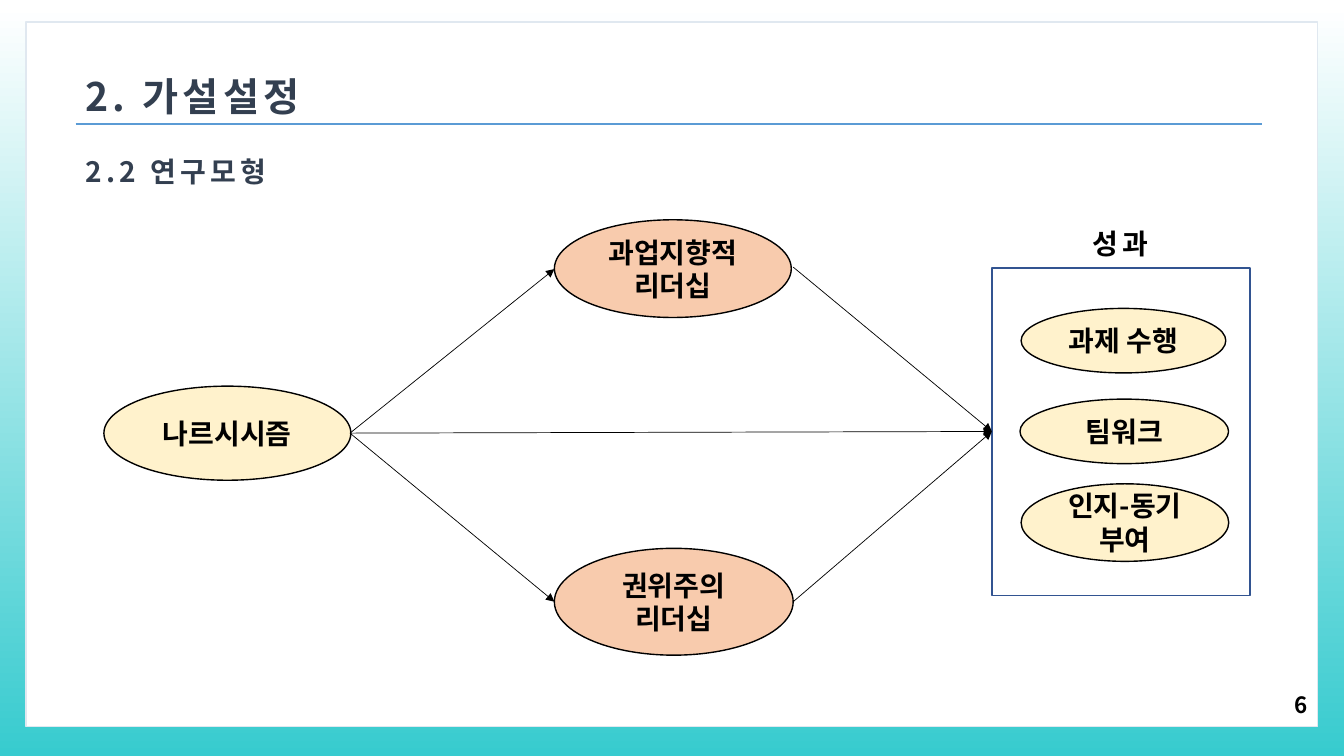
"""Build the research model slide: narcissism, two leadership styles and performance."""
from lxml import etree
from pptx import Presentation
from pptx.dml.color import RGBColor
from pptx.enum import shapes, text
from pptx.oxml import ns
from pptx.util import Pt

BLACK = RGBColor(0x00, 0x00, 0x00)
WHITE = RGBColor(0xFF, 0xFF, 0xFF)
TEAL = RGBColor(0x37, 0xCB, 0xCF)
MIST = RGBColor(0xE0, 0xE8, 0xF0)
CREAM = RGBColor(0xFF, 0xF2, 0xCC)
PEACH = RGBColor(0xF8, 0xCB, 0xAD)
NAVY = RGBColor(0x32, 0x54, 0x91)
BLUE = RGBColor(0x5B, 0x9B, 0xD5)
SLATE = RGBColor(0x33, 0x3F, 0x50)
SHAPE = shapes.MSO_SHAPE
ALIGN = text.PP_ALIGN
ANCHOR = text.MSO_ANCHOR


class Deck:
    """Hold the font and the current slide, and draw its elements."""

    font = "Noto Sans CJK KR"

    def __init__(self, prs):
        """Add a blank slide."""
        self.s = prs.slides.add_slide(prs.slide_layouts[6])

    def set_text(self, tf, lines, size=20, color=BLACK, align=ALIGN.CENTER,
                 anchor=ANCHOR.MIDDLE, spacing=None, spc=None):
        """Fill a text frame with one paragraph per line."""
        tf.word_wrap = True
        tf.vertical_anchor = anchor
        for i, line in enumerate(lines):
            p = tf.add_paragraph() if i else tf.paragraphs[0]
            for name, value in {"alignment": align, "line_spacing": spacing}.items():
                setattr(p, name, value)
            r = p.add_run()
            r.text = line
            style = {"size": Pt(size), "bold": True, "name": self.font}
            for name, value in style.items():
                setattr(r.font, name, value)
            r.font.color.rgb = color
            rPr = r._r.get_or_add_rPr()
            etree.SubElement(rPr, ns.qn("a:ea"), typeface=self.font)
            if spc:
                rPr.set("spc", str(spc * 100))

    def shape(self, kind, box, fill=None, line=None):
        """Add a preset shape with an optional fill and outline."""
        sp = self.s.shapes.add_shape(kind, *map(Pt, box))
        sp.shadow.inherit = False
        if fill is None:
            sp.fill.background()
        else:
            sp.fill.solid()
            sp.fill.fore_color.rgb = fill
        if line is None:
            sp.line.fill.background()
        else:
            sp.line.color.rgb = line
            sp.line.width = Pt(1)
        return sp

    def backdrop(self, box, top, bottom):
        """Add a rectangle with a vertical gradient."""
        fill = self.shape(SHAPE.RECTANGLE, box).fill
        fill.gradient()
        fill.gradient_angle = 270
        for stop, color in zip(fill.gradient_stops, (top, bottom)):
            stop.color.rgb = color

    def oval(self, box, fill, *lines):
        """Add a labelled ellipse."""
        sp = self.shape(SHAPE.OVAL, box, fill, BLACK)
        self.set_text(sp.text_frame, lines)

    def label(self, box, line, **style):
        """Add a one-line text box."""
        sp = self.s.shapes.add_textbox(*map(Pt, box))
        self.set_text(sp.text_frame, [line], **style)

    def line(self, start, end, color=BLACK, width=0.5, arrow=True):
        """Add a straight line, with an arrowhead at its end if asked."""
        sp = self.s.shapes.add_connector(
            shapes.MSO_CONNECTOR.STRAIGHT, *map(Pt, start + end))
        sp.line.color.rgb = color
        sp.line.width = Pt(width)
        spPr = sp._element.spPr
        if arrow:
            ln = spPr.find(ns.qn("a:ln"))
            etree.SubElement(ln, ns.qn("a:tailEnd"), type="triangle")
        etree.SubElement(spPr, ns.qn("a:effectLst"))


def main():
    """Draw the slide and save it."""
    prs = Presentation()
    prs.slide_width, prs.slide_height = Pt(960), Pt(540)
    d = Deck(prs)

    d.backdrop((0, 4.3, 960, 535.7), WHITE, TEAL)
    panel = d.shape(SHAPE.ROUNDED_RECTANGLE, (18.7, 15.8, 922.3, 503.3), WHITE, MIST)
    panel.adjustments[0] = 0

    d.shape(SHAPE.RECTANGLE, (708.5, 191.5, 184.3, 234), line=NAVY)
    for box, fill, *lines in (
        ((74.2, 275.8, 176.4, 67.2), CREAM, "나르시시즘"),
        ((396, 157, 169.2, 69.8), PEACH, "과업지향적", "리더십"),
        ((396, 391.7, 170.6, 76.3), PEACH, "권위주의", "리더십"),
        ((729.4, 220.3, 146.2, 46.1), CREAM, "과제 수행"),
        ((728.6, 285.1, 149, 46.1), CREAM, "팀워크"),
        ((729.4, 345.6, 148.3, 55.4), CREAM, "인지-동기 부여"),
    ):
        d.oval(box, fill, *lines)

    cause, effect = (250, 309.4), (708.5, 308.2)
    d.line(cause, effect)
    for entry, leave in ((192.2, 190.8), (429.8, 429.8)):
        d.line(cause, (396, entry))
        d.line((566.6, leave), effect)

    d.label((718.6, 144, 163.4, 41), "성과", anchor=ANCHOR.TOP, spacing=1.6, spc=3)
    d.line((54, 88.6), (901.4, 88.6), BLUE, 1.5, arrow=False)
    heading = {"color": SLATE, "align": ALIGN.LEFT, "spc": 3}
    d.label((54, 48.2, 845.3, 41), "2. 가설설정", size=28, **heading)
    d.label((54, 95, 813.6, 38.9), "2.2 연구모형", anchor=ANCHOR.TOP, spacing=1.5, **heading)
    d.label((730.1, 487.4, 211, 32.4), "6", size=16, align=ALIGN.RIGHT)

    prs.save("out.pptx")


if __name__ == "__main__":
    main()
